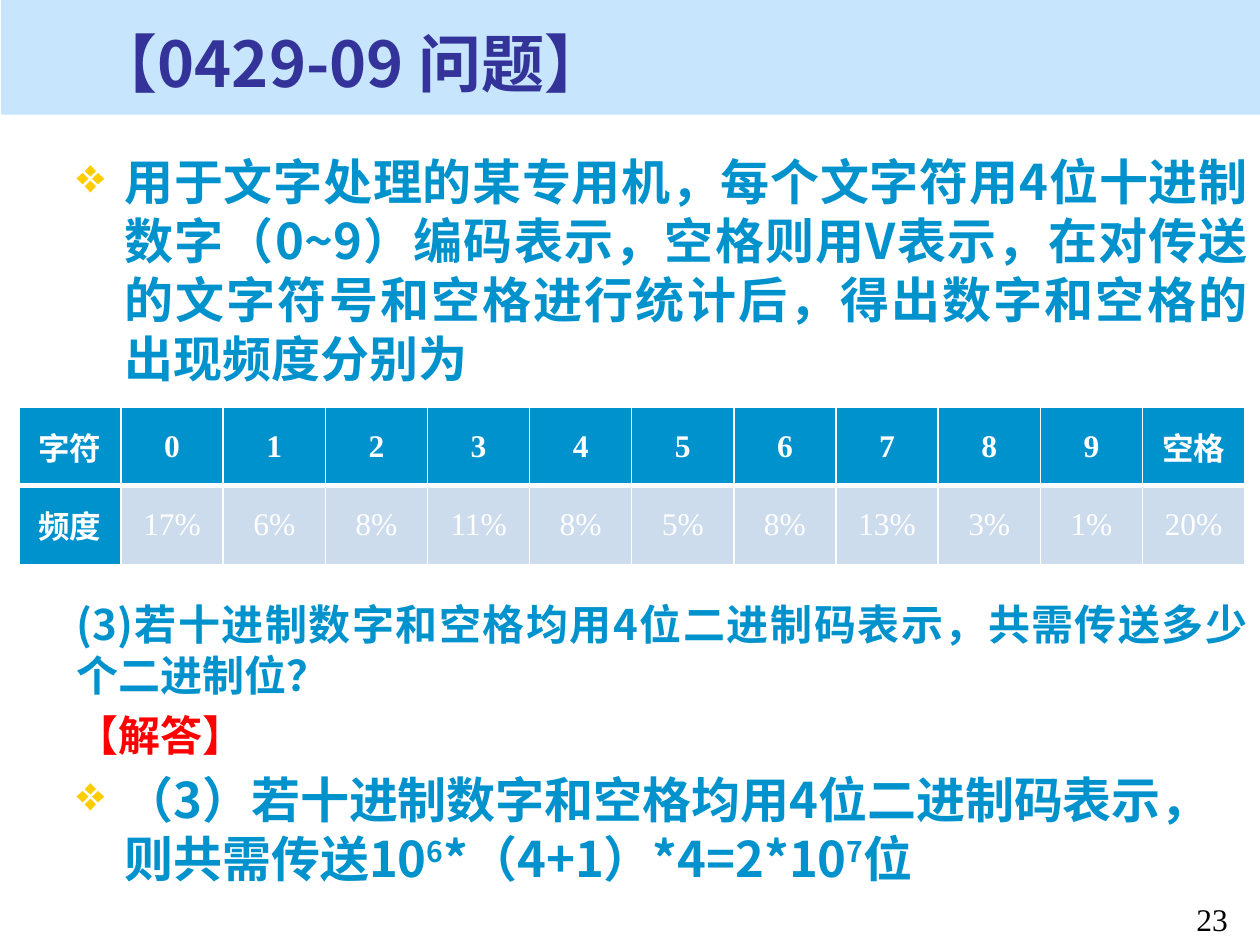
"""Build the character-frequency question slide."""
from lxml import etree
from pptx import Presentation, util as u
from pptx.dml.color import RGBColor
from pptx.enum import shapes, text
from pptx.oxml.ns import qn

WIDTH, HEIGHT = 10, 7.5
SANS, SERIF = "Noto Sans CJK SC", "Times New Roman"
BLUE, PALE, WHITE, RED, GOLD = "0092CC", "CCDCEC", "FFFFFF", "FF0000", "FFCC00"
JUSTIFY, LEFT = text.PP_ALIGN.JUSTIFY, text.PP_ALIGN.LEFT
CENTER, MIDDLE = text.PP_ALIGN.CENTER, text.MSO_ANCHOR.MIDDLE
LINE_HEIGHT = {28: 33.7, 24: 29.1}
INDENT = 0.38

TITLE = "【0429-09 问题】"
QUESTION = [
    dict(spans=[("用于文字处理的某专用机，每个文字符用4位十进制数字（0~9）编码表示，"
                 "空格则用V表示，在对传送的文字符号和空格进行统计后，"
                 "得出数字和空格的出现频度分别为", 0)],
         size=28, color=BLUE, align=JUSTIFY, bullet=True),
]
ANSWER = [
    dict(spans=[("(3)若十进制数字和空格均用4位二进制码表示，共需传送多少个二进制位？", 0)],
         size=24, color=BLUE, align=JUSTIFY, bullet=False),
    dict(spans=[("【解答】", 0)], size=24, color=RED, align=JUSTIFY, bullet=False),
    dict(spans=[("（3）若十进制数字和空格均用4位二进制码表示，则共需传送10", 0), ("6", 30),
                ("*（4+1）*4=2*10", 0), ("7", 30), ("位", 0)],
         size=28, color=BLUE, align=LEFT, bullet=True),
]
FREQUENCIES = [
    ["字符", *"0123456789", "空格"],
    ["频度", "17%", "6%", "8%", "11%", "8%", "5%", "8%", "13%", "3%", "1%", "20%"],
]


def rgb(value):
    """Turn a hex string into a colour."""
    return RGBColor.from_string(value)


def inches(*values):
    """Turn numbers into lengths in inches."""
    return [u.Inches(value) for value in values]


def add_span(para, words, size, color, bold=True, font=SANS, raised=0):
    """Add one formatted run."""
    span = para.add_run()
    span.text = words
    span.font.size, span.font.bold, span.font.name = u.Pt(size), bold, font
    span.font.color.rgb = rgb(color)
    props = span.font._element
    etree.SubElement(props, qn("a:ea"), typeface=SANS)
    if raised:
        props.set("baseline", str(raised * 1000))


def add_bullet(para):
    """Give a paragraph a gold diamond and a hanging indent."""
    props = para._p.get_or_add_pPr()
    indent = u.Inches(INDENT)
    props.set("marL", str(indent))
    props.set("indent", str(-indent))
    color = etree.SubElement(props, qn("a:buClr"))
    etree.SubElement(color, qn("a:srgbClr"), val=GOLD)
    etree.SubElement(props, qn("a:buChar"), char="❖")


def add_body(page, top, height, items):
    """Add a text box of body paragraphs."""
    left = 0.51
    box = page.shapes.add_textbox(*inches(left, top, WIDTH - left, height))
    frame = box.text_frame
    frame.word_wrap = True
    for index, item in enumerate(items):
        para = frame.add_paragraph() if index else frame.paragraphs[0]
        if item["bullet"]:
            add_bullet(para)
        para.alignment = item["align"]
        para.line_spacing = u.Pt(LINE_HEIGHT[item["size"]])
        para.space_before = u.Pt(item["size"] * 0.2 if index else 0)
        for words, raised in item["spans"]:
            add_span(para, words, item["size"], item["color"], raised=raised)


def add_borders(cell, widths):
    """Draw white borders around a cell."""
    props = cell._tc.get_or_add_tcPr()
    for side, width in zip("LRTB", widths):
        line = etree.SubElement(props, qn(f"a:ln{side}"), w=str(u.Pt(width)))
        fill = etree.SubElement(line, qn("a:solidFill"))
        etree.SubElement(fill, qn("a:srgbClr"), val=WHITE)


def add_frequencies(page):
    """Add the table of characters and their frequencies."""
    rows, columns = len(FREQUENCIES), len(FREQUENCIES[0])
    table = page.shapes.add_table(rows, columns, *inches(0.15, 3.23, 9.73, 1.25)).table
    for row, values in enumerate(FREQUENCIES):
        for column, words in enumerate(values):
            cell = table.cell(row, column)
            heading = row == 0 or column == 0
            add_borders(cell, (1, 1, 3 if row else 1, 1 if row else 3))
            cell.fill.solid()
            cell.fill.fore_color.rgb = rgb(BLUE if heading else PALE)
            cell.vertical_anchor = MIDDLE
            cell.margin_left = cell.margin_right = u.Inches(0.07)
            cell.margin_top = cell.margin_bottom = 0
            para = cell.text_frame.paragraphs[0]
            para.alignment = CENTER
            add_span(para, words, 18, WHITE, heading, SERIF)


def add_title(page):
    """Format the title and put its banner behind it."""
    title = page.shapes.title
    title.left, title.top, title.width, title.height = inches(0.65, 0.16, 9.16, 0.67)
    title.text_frame.vertical_anchor = MIDDLE
    para = title.text_frame.paragraphs[0]
    para.alignment = LEFT
    add_span(para, TITLE, 36, "333399")
    banner = page.shapes.add_shape(shapes.MSO_SHAPE.RECTANGLE, *inches(0.01, 0, 9.99, 0.91))
    banner.shadow.inherit = False
    banner.fill.solid()
    banner.fill.fore_color.rgb = rgb("C7E6FD")
    banner.line.fill.background()
    title._element.addprevious(banner._element)


def add_page_number(page):
    """Add the slide number in the corner."""
    box = page.shapes.add_textbox(*inches(9.27, 7.09, 0.7, 0.33))
    box.text_frame.word_wrap = True
    para = box.text_frame.paragraphs[0]
    para.alignment = CENTER
    add_span(para, "23", 18, "000000", False, SERIF)


def main():
    """Build and save the deck."""
    deck = Presentation()
    deck.slide_width, deck.slide_height = inches(WIDTH, HEIGHT)
    page = deck.slides.add_slide(deck.slide_layouts[5])
    add_title(page)
    add_page_number(page)
    add_body(page, 1.15, 2, QUESTION)
    add_body(page, 4.7, 2.4, ANSWER)
    add_frequencies(page)
    deck.save("out.pptx")


if __name__ == "__main__":
    main()
